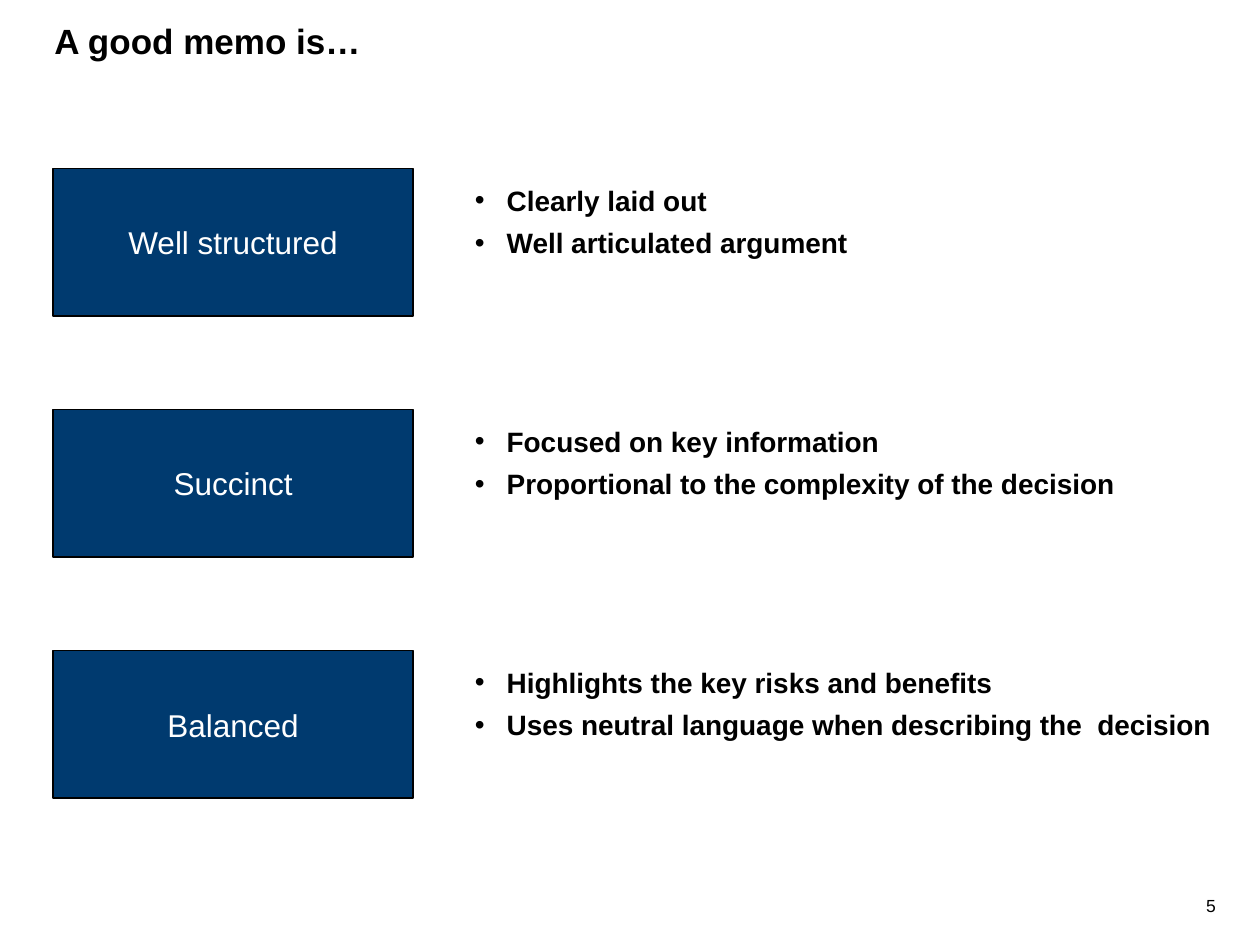
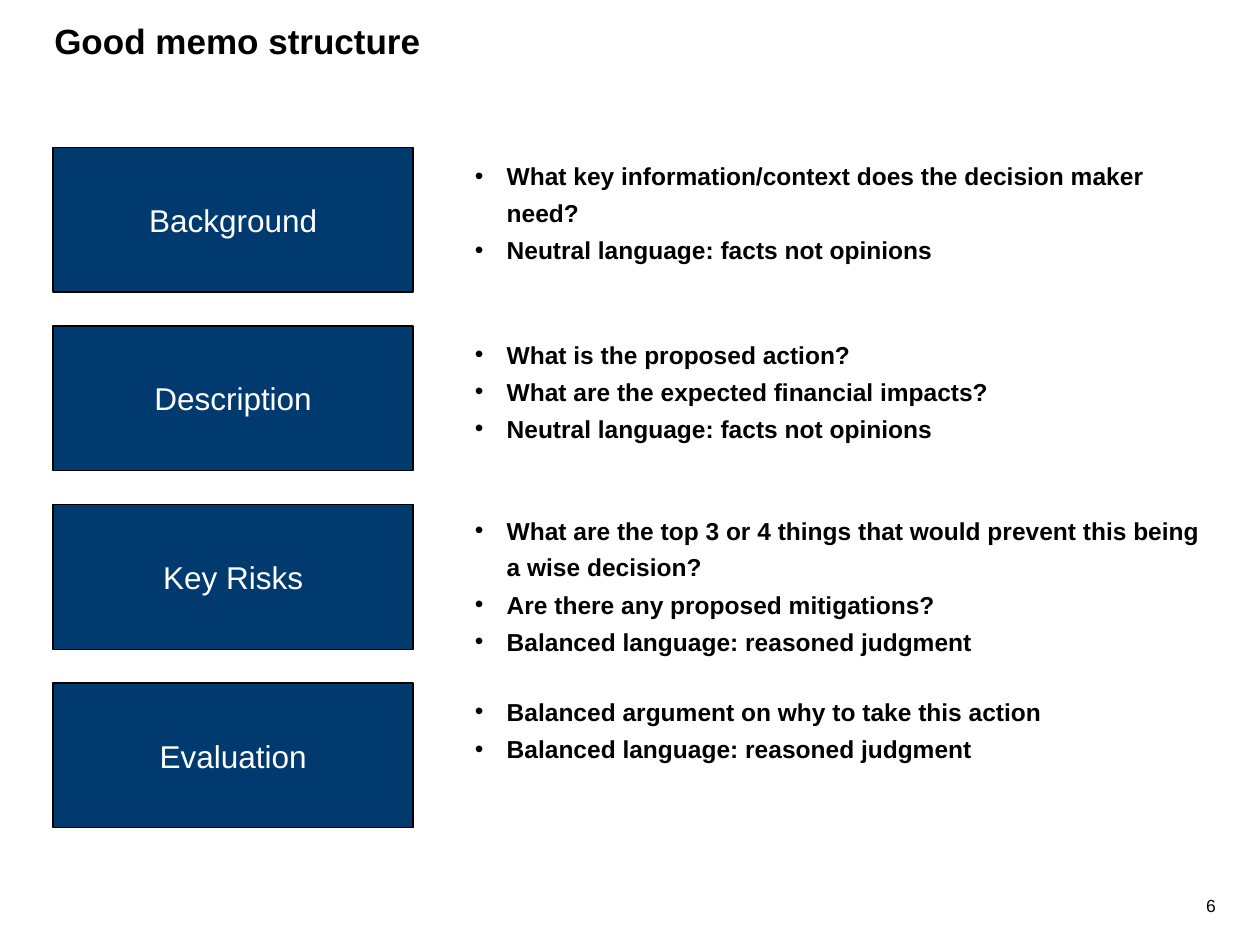
"""Build two slides on what makes a good memo and how to structure one."""
from dataclasses import dataclass

from lxml.etree import SubElement
from pptx import Presentation
from pptx.dml.color import RGBColor as Rgb
from pptx.enum.shapes import MSO_SHAPE as Shape
from pptx.enum.text import MSO_ANCHOR as Anchor, MSO_AUTO_SIZE as AutoSize, PP_ALIGN as Align
from pptx.oxml.ns import qn
from pptx.util import Cm, Pt


@dataclass(frozen=True)
class Theme:
    font: str = "Arial"
    ink: Rgb = Rgb(0, 0, 0)
    paper: Rgb = Rgb(255, 255, 255)
    navy: Rgb = Rgb(0x00, 0x3A, 0x6F)
    title_size: int = 20
    label_size: int = 18
    number_size: int = 10


theme = Theme()


def add_text(para, text, size, color, bold=False, align=Align.LEFT):
    para.alignment = align
    span = para.add_run()
    span.text = text
    span.font.name = theme.font
    span.font.size = Pt(size)
    span.font.color.rgb = color
    span.font.bold = bold


def place(box, left, top, width, height):
    box.left, box.top, box.width, box.height = Cm(left), Cm(top), Cm(width), Cm(height)
    frame = box.text_frame
    frame.word_wrap = True
    frame.auto_size = AutoSize.NONE
    frame.vertical_anchor = Anchor.TOP
    return frame


pages = [
    {
        "number": 5, "title": "A good memo is…",
        "top": 3.4, "pitch": 4.86, "label_height": 2.97, "list_size": 16,
        "rows": [
            ("Well structured", 0, 15.24, 2.95,
             ["Clearly laid out", "Well articulated argument"]),
            ("Succinct", 0, 15.24, 2.95,
             ["Focused on key information",
              "Proportional to the complexity of the decision"]),
            ("Balanced", 0, 15.57, 2.95,
             ["Highlights the key risks and benefits",
              "Uses neutral language when describing the  decision"]),
        ],
    },
    {
        "number": 6, "title": "Good memo structure",
        "top": 2.97, "pitch": 3.6, "label_height": 2.92, "list_size": 14,
        "rows": [
            ("Background", 0, 15.24, 2.95,
             ["What key information/context does the decision maker need?",
              "Neutral language: facts not opinions"]),
            ("Description", 0, 15.24, 3.35,
             ["What is the proposed action?",
              "What are the expected financial impacts?",
              "Neutral language: facts not opinions"]),
            ("Key Risks", 0.05, 15.24, 3.4,
             ["What are the top 3 or 4 things that would prevent this being a wise decision?",
              "Are there any proposed mitigations?",
              "Balanced language: reasoned judgment"]),
            ("Evaluation", 0, 15.24, 2.95,
             ["Balanced argument on why to take this action",
              "Balanced language: reasoned judgment"]),
        ],
    },
]

deck = Presentation()
deck.slide_width, deck.slide_height = Cm(25.4), Cm(19.05)
comparison_layout = deck.slide_layouts.get_by_name("Comparison")

for page in pages:
    slide = deck.slides.add_slide(comparison_layout)
    title, *lists = list(slide.placeholders)

    frame = place(title, 0.84, 0.2, 23.7, 1.96)
    frame.margin_top = Cm(0.2)
    add_text(frame.paragraphs[0], page["title"], theme.title_size, theme.ink, bold=True)

    for index, (label, lift, width, height, points) in enumerate(page["rows"]):
        top = page["top"] + index * page["pitch"]

        box = slide.shapes.add_shape(Shape.RECTANGLE, 0, 0, 0, 0)
        frame = place(box, 1.07, top, 7.26, page["label_height"])
        box.shadow.inherit = False
        box.fill.solid()
        box.fill.fore_color.rgb = theme.navy
        box.line.color.rgb = theme.ink
        box.line.width = Pt(0.75)
        frame.vertical_anchor = Anchor.MIDDLE
        frame.margin_left = frame.margin_right = Cm(0.13)
        add_text(frame.paragraphs[0], label, theme.label_size, theme.paper, align=Align.CENTER)

        frame = place(lists[index], 9.32, top - lift, width, height)
        for order, point in enumerate(points):
            para = frame.add_paragraph() if order else frame.paragraphs[0]
            para.line_spacing = 1.25
            para.space_before = Pt(0.2)
            add_text(para, point, page["list_size"], theme.ink, bold=True)
            settings = para._p.get_or_add_pPr()
            settings.set("marL", str(Cm(0.64)))
            settings.set("indent", str(-Cm(0.64)))
            SubElement(settings, qn("a:buFont"), typeface=theme.font)
            SubElement(settings, qn("a:buChar"), char="•")

    for spare in lists[len(page["rows"]):]:
        spare.element.getparent().remove(spare.element)

    number_box = slide.shapes.add_textbox(0, 0, 0, 0)
    frame = place(number_box, 23.62, 17.91, 1.14, 0.69)
    add_text(frame.paragraphs[0], str(page["number"]), theme.number_size, theme.ink,
             align=Align.RIGHT)

deck.save("out.pptx")
